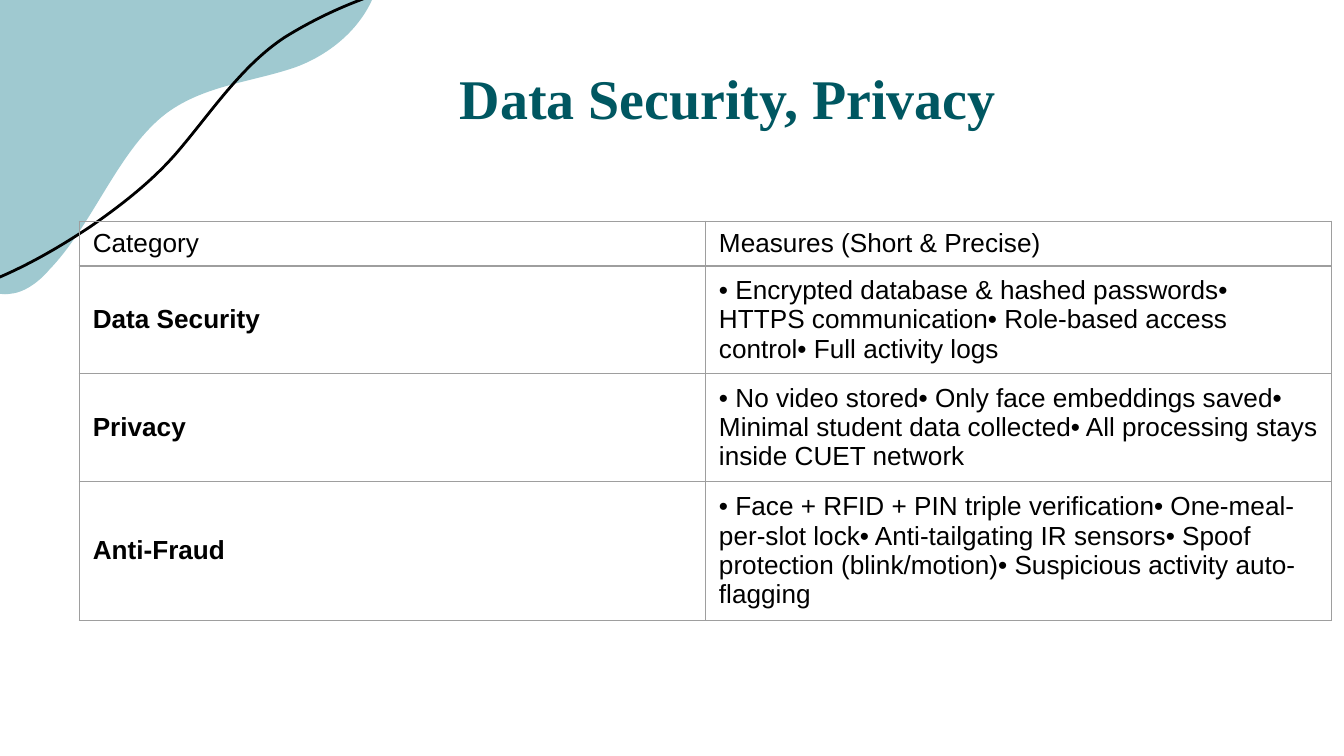
from typing import NamedTuple

from lxml.etree import SubElement
from pptx import Presentation
from pptx.dml.color import RGBColor
from pptx.enum.text import MSO_ANCHOR as Anchor, PP_ALIGN as Align
from pptx.oxml.ns import qn
from pptx.util import Pt

Point = tuple[float, float]


class Curve(NamedTuple):
    """A cubic curve: two handles and an end point, in points."""
    first: Point
    second: Point
    end: Point


class Outline(NamedTuple):
    start: Point
    curves: list[Curve]
    closed: bool


class Row(NamedTuple):
    category: str
    measures: str
    bold: bool = True


BLOB = Outline((2, -54), [
    Curve((-4, -53), (-9, -52), (-15, -50)),
    Curve((-19, -48), (-24, -45), (-28, -42)),
    Curve((-34, -36), (-38, -28), (-42, -20)),
    Curve((-47, -8), (-50, 6), (-53, 19)),
    Curve((-58, 47), (-63, 76), (-56, 104)),
    Curve((-50, 132), (-26, 148), (-4, 156)),
    Curve((-1, 157.5), (2, 158), (5, 157.5)),
    Curve((13, 157), (21, 151), (26.5, 144.5)),
    Curve((50.5, 119.5), (63.5, 80), (89.5, 60.5)),
    Curve((110, 45.5), (135.5, 44), (158.5, 36)),
    Curve((181.5, 27.5), (205, 6.5), (204.5, -25)),
    Curve((204, -48), (175, -60), (157, -58)),
    Curve((156, -58), (155.5, -57.5), (155, -57.5)),
    Curve((137.5, -55.5), (121, -47), (103.5, -44.5)),
    Curve((103, -44.5), (102, -44.5), (101.5, -44.5)),
    Curve((69, -40), (34.5, -57.5), (2, -54)),
], True)

WAVE = Outline((-83, 179.5), [
    Curve((-68.5, 166.5), (-47.5, 163.5), (-29, 158.5)),
    Curve((-0.5, 151), (25, 137), (49, 121)),
    Curve((65.5, 109.5), (81.5, 97), (94.5, 82)),
    Curve((113, 60.5), (129, 35.5), (152.5, 20)),
    Curve((188, -2), (232, -16), (273.5, -13.5)),
], False)

ROWS = [
    Row("Category", "Measures (Short & Precise)", False),
    Row("Data Security", "• Encrypted database & hashed passwords• HTTPS communication"
        "• Role-based access control• Full activity logs"),
    Row("Privacy", "• No video stored• Only face embeddings saved• Minimal student data "
        "collected• All processing stays inside CUET network"),
    Row("Anti-Fraud", "• Face + RFID + PIN triple verification• One-meal-per-slot lock"
        "• Anti-tailgating IR sensors• Spoof protection (blink/motion)"
        "• Suspicious activity auto-flagging"),
]


def color(value: str) -> RGBColor:
    return RGBColor.from_string(value)


def apply(target, values: dict) -> None:
    for name, value in values.items():
        setattr(target, name, value)


def write(para, text: str, font: str, size: float, ink: str, bold: bool) -> None:
    span = para.add_run()
    span.text = text
    apply(span.font, {"name": font, "size": Pt(size), "bold": bold})
    span.font.color.rgb = color(ink)


def draw_outline(page, outline: Outline):
    """Build the outline through its end points, then bend each segment."""
    builder = page.shapes.build_freeform(*map(Pt, outline.start))
    ends = [tuple(map(Pt, curve.end)) for curve in outline.curves]
    builder.add_line_segments(ends, close=outline.closed)
    shape = builder.convert_to_shape()
    shape.shadow.inherit = False
    segments = list(shape._element.iter(qn("a:lnTo")))
    for segment, curve in zip(segments, outline.curves):
        segment.tag = qn("a:cubicBezTo")
        for index, (x, y) in enumerate((curve.first, curve.second)):
            handle = segment.makeelement(qn("a:pt"), {"x": str(Pt(x) - shape.left),
                                                      "y": str(Pt(y) - shape.top)})
            segment.insert(index, handle)
    return shape


def draw_borders(cell, ink: str, width: float) -> None:
    properties = cell._tc.get_or_add_tcPr()
    for index, side in enumerate(("lnL", "lnR", "lnT", "lnB")):
        line = properties.makeelement(qn(f"a:{side}"), {"w": str(Pt(width))})
        properties.insert(index, line)
        fill = SubElement(line, qn("a:solidFill"))
        SubElement(fill, qn("a:srgbClr"), val=ink)


def draw_table(page, rows: list[Row], left: float, top: float,
               column: float, height: float) -> None:
    frame = page.shapes.add_table(len(rows), 2, Pt(left), Pt(top),
                                  Pt(2 * column), Pt(height))
    table = frame.table
    apply(table, {"first_row": False, "horz_banding": False})
    for index, row in enumerate(rows):
        table.rows[index].height = Pt(0)  # each row grows to fit its text
        for place, (text, bold) in enumerate(((row.category, row.bold),
                                              (row.measures, False))):
            cell = table.cell(index, place)
            cell.vertical_anchor = Anchor.MIDDLE
            cell.fill.background()
            draw_borders(cell, "9E9E9E", 0.75)
            write(cell.text_frame.paragraphs[0], text, "Arial", 14, "000000", bold)
    frame.height = Pt(height)


def main() -> None:
    deck = Presentation()
    apply(deck, {"slide_width": Pt(720), "slide_height": Pt(405)})
    page = deck.slides.add_slide(deck.slide_layouts[6])

    # Corner decoration
    blob = draw_outline(page, BLOB)
    blob.fill.solid()
    blob.fill.fore_color.rgb = color("9FC9D0")
    blob.line.fill.background()
    wave = draw_outline(page, WAVE)
    wave.fill.background()
    wave.line.color.rgb = color("000000")
    wave.line.width = Pt(1.5)

    # Title
    box = page.shapes.add_textbox(Pt(124.2), Pt(26.65), Pt(531.4), Pt(45.4))
    sides = ("left", "top", "right", "bottom")
    apply(box.text_frame, {"word_wrap": True, "vertical_anchor": Anchor.TOP,
                           **{f"margin_{side}": Pt(7.2) for side in sides}})
    para = box.text_frame.paragraphs[0]
    para.alignment = Align.CENTER
    write(para, "Data Security, Privacy", "Times New Roman", 30, "005761", True)

    # Measures by category
    draw_table(page, ROWS, left=42.5, top=118.5, column=335.5, height=214)

    deck.save("out.pptx")


if __name__ == "__main__":
    main()
